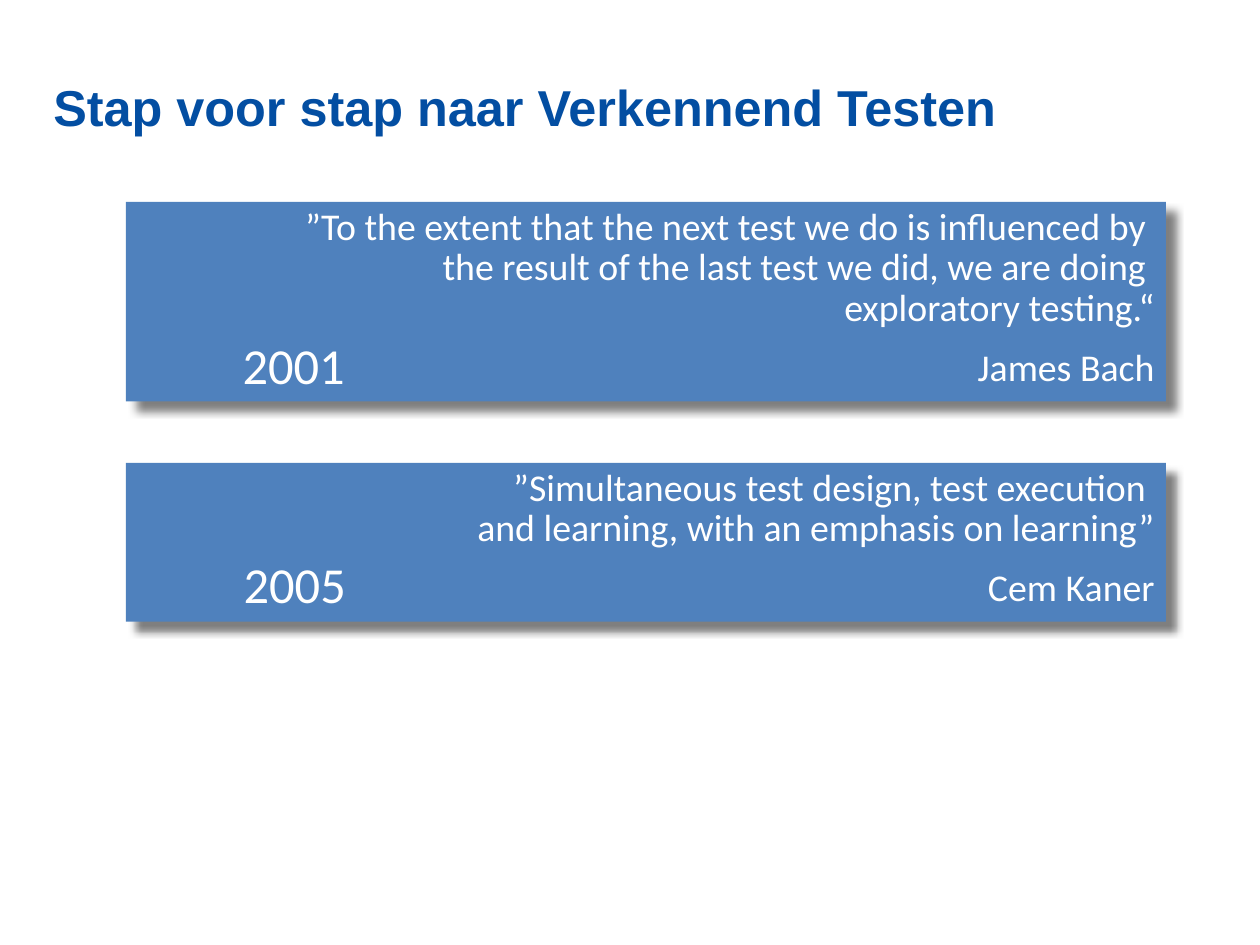
from lxml import etree
from pptx import Presentation
from pptx.dml.color import RGBColor
from pptx.enum.shapes import MSO_SHAPE
from pptx.enum.text import MSO_ANCHOR, PP_ALIGN
from pptx.oxml.ns import qn
from pptx.util import Inches, Pt

RECTANGLE = MSO_SHAPE.RECTANGLE
TOP = MSO_ANCHOR.TOP
LEFT, RIGHT = PP_ALIGN.LEFT, PP_ALIGN.RIGHT
COLOURS = {"title": "034EA2", "panel": "4F81BD", "text": "FFFFFF", "shadow": "000000"}
TITLE_ONLY = 5
PANEL_LEFT, PANEL_WIDTH = 1.11, 9.17

QUOTES = [
    {
        "top": 1.78,
        "height": 1.76,
        "quote": "”To the extent that the next test we do is influenced by \v"
                 "the result of the last test we did, we are doing \v"
                 "exploratory testing.“",
        "author": "James Bach",
        "year": "2001",
        "year_at": (2.04, 2.96),
    },
    {
        "top": 4.08,
        "height": 1.4,
        "quote": "”Simultaneous test design, test execution \v"
                 "and learning, with an emphasis on learning”",
        "author": "Cem Kaner",
        "year": "2005",
        "year_at": (2.05, 4.89),
    },
]


def write(frame, paragraphs, size, colour="text", font="Calibri", bold=False,
          align=LEFT, spacing=0.9, gap=0):
    frame.vertical_anchor = TOP
    for index, text in enumerate(paragraphs):
        para = frame.add_paragraph() if index else frame.paragraphs[0]
        para.text = text
        para.alignment = align
        para.line_spacing = spacing
        para.space_before = Pt(gap if index else 0)
        para.font.name = font
        para.font.size = Pt(size)
        para.font.bold = bold
        para.font.color.rgb = RGBColor.from_string(COLOURS[colour])


def add_shadow(shape):
    effects = etree.SubElement(shape._element.spPr, qn("a:effectLst"))
    shadow = etree.SubElement(effects, qn("a:outerShdw"), blurRad=str(Pt(5)),
                              dist=str(Pt(8.5)), dir=str(45 * 60000),
                              algn="tl", rotWithShape="0")
    colour = etree.SubElement(shadow, qn("a:srgbClr"), val=COLOURS["shadow"])
    etree.SubElement(colour, qn("a:alpha"), val="50000")


def add_title(page, text):
    title = page.shapes.title
    title.left, title.top = Inches(0.47), Inches(0.62)
    title.width, title.height = Inches(10.17), Inches(0.79)
    frame = title.text_frame
    frame.margin_left = frame.margin_right = frame.margin_bottom = 0
    frame.margin_top = Inches(0.05)
    write(frame, [text], 32, colour="title", font="Arial", bold=True, spacing=1.0)


def add_panel(page, top, height, quote, author):
    panel = page.shapes.add_shape(RECTANGLE, Inches(PANEL_LEFT), Inches(top),
                                  Inches(PANEL_WIDTH), Inches(height))
    panel.fill.solid()
    panel.fill.fore_color.rgb = RGBColor.from_string(COLOURS["panel"])
    panel.line.fill.background()
    add_shadow(panel)
    panel.text_frame.word_wrap = True
    write(panel.text_frame, [quote, author], 24, align=RIGHT, gap=12)


def add_year(page, year, left, top):
    box = page.shapes.add_textbox(Inches(left), Inches(top), Inches(1.11), Inches(0.6))
    box.text_frame.word_wrap = False
    write(box.text_frame, [year], 32)


def main():
    deck = Presentation()
    deck.slide_width, deck.slide_height = Inches(11.11), Inches(8.33)
    page = deck.slides.add_slide(deck.slide_layouts[TITLE_ONLY])
    add_title(page, "Stap voor stap naar Verkennend Testen")
    for item in QUOTES:
        add_panel(page, item["top"], item["height"], item["quote"], item["author"])
        add_year(page, item["year"], *item["year_at"])
    deck.save("out.pptx")


if __name__ == "__main__":
    main()
